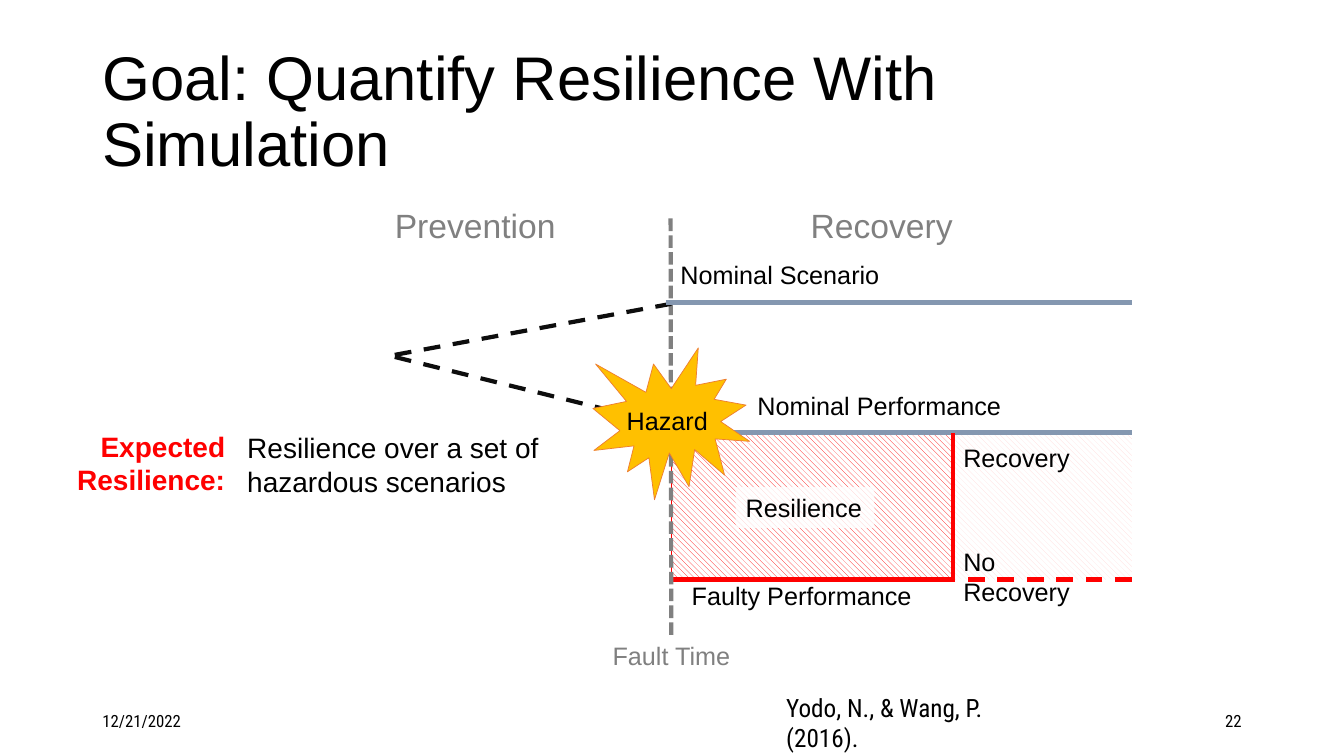
"""Build the slide on quantifying resilience with simulation."""
from pptx import Presentation
from pptx.dml.color import RGBColor
from pptx.enum.dml import MSO_LINE, MSO_PATTERN
from pptx.enum.shapes import MSO_CONNECTOR, MSO_SHAPE
from pptx.enum.text import MSO_ANCHOR, PP_ALIGN
from pptx.oxml.ns import qn
from pptx.util import Pt
from lxml.etree import SubElement

BLACK = RGBColor(0x00, 0x00, 0x00)
INK = RGBColor(0x0D, 0x0D, 0x0D)
GRAY = RGBColor(0x80, 0x80, 0x80)
WHITE = RGBColor(0xFF, 0xFF, 0xFF)
RED = RGBColor(0xFF, 0x00, 0x00)
PINK = RGBColor(0xFF, 0xD9, 0xD9)
SLATE = RGBColor(0x84, 0x97, 0xB0)
BLUE = RGBColor(0x44, 0x72, 0xC4)
AMBER = RGBColor(0xFF, 0xC0, 0x00)
ORANGE = RGBColor(0xED, 0x7D, 0x31)

SANS, CONDENSED = "Arial", "Roboto Condensed"
LEFT, RIGHT = PP_ALIGN.LEFT, PP_ALIGN.RIGHT

BRANCH_X, FAULT_X, RECOVERY_X, END_X = 282, 479.5, 681, 808.5
SCENARIO_Y, NOMINAL_Y, FAULTY_Y = 216, 309, 414

HATCHES = [
    (RECOVERY_X, END_X, PINK, None),
    (FAULT_X, RECOVERY_X, RED, BLUE),
]
LINES = [
    ((BRANCH_X, 255), (FAULT_X, 304), INK, 3, MSO_LINE.DASH),
    ((452, NOMINAL_Y), (END_X, NOMINAL_Y), SLATE, 3, None),
    ((FAULT_X, NOMINAL_Y), (FAULT_X, FAULTY_Y), RED, 1, None),
    ((FAULT_X, FAULTY_Y), (RECOVERY_X, FAULTY_Y), RED, 3, None),
    ((RECOVERY_X, FAULTY_Y), (RECOVERY_X, NOMINAL_Y), RED, 3, None),
    ((FAULT_X, 453.5), (479, 155), GRAY, 3, MSO_LINE.SQUARE_DOT),
    ((END_X, FAULTY_Y), (RECOVERY_X, FAULTY_Y), RED, 3, MSO_LINE.DASH),
    ((BRANCH_X, 253.5), (FAULT_X, 217), INK, 3, MSO_LINE.DASH),
    ((475.5, SCENARIO_Y), (END_X, SCENARIO_Y), SLATE, 3, None),
]
HAZARD_BURST = (423.5, 248.5, 112, 108.5)
LABELS = [
    ("Fault Time", (430.5, 453.5, 99.5, 29), 18, GRAY, SANS),
    ("Nominal Performance", (534, 275, 232, 29), 18, BLACK, SANS),
    ("Faulty Performance", (487, 411, 176, 29), 18, BLACK, SANS),
    ("Recovery", (681, 312.5, 94, 29), 18, BLACK, SANS),
    ("No Recovery", (681, 386.5, 117, 29), 18, BLACK, SANS),
    ("Prevention", (275, 142.5, 133, 36), 24, GRAY, SANS),
    ("Recovery", (572, 142.5, 116, 36), 24, GRAY, SANS),
    ("Yodo, N., & Wang, P. (2016).", (554.5, 491, 175, 29), 18, BLACK, CONDENSED),
    ("Hazard", (440.5, 286, 79, 29), 18, BLACK, SANS),
    ("Nominal Scenario", (479, 182, 232, 29), 18, BLACK, SANS),
]
PANELS = [
    (["Resilience"], (525.5, 348, 99, 29), 18, BLACK, LEFT, False),
    (["Expected", "Resilience:"], (45, 303, 123, 55.5), 20, RED, RIGHT, True),
    (["Resilience over a set of hazardous scenarios"],
     (169.5, 304, 241, 55.5), 20, BLACK, LEFT, False),
]
TITLE = ("Goal: Quantify Resilience With Simulation", (66, 29, 828, 104.5))
FOOTERS = [
    ("12/21/2022", (66, 500.5, 216, 29), LEFT),
    ("22", (678, 500.5, 216, 29), RIGHT),
]


def add_preset(slide, kind, frame, outline=None):
    shape = slide.shapes.add_shape(kind, *map(Pt, frame))
    shape.shadow.inherit = False
    if outline is None:
        shape.line.fill.background()
    else:
        shape.line.color.rgb = outline
        shape.line.width = Pt(0.5)
    return shape


def add_line(slide, start, end, color, width, dash):
    line = slide.shapes.add_connector(
        MSO_CONNECTOR.STRAIGHT, *map(Pt, (*start, *end)))
    line.line.color.rgb = color
    line.line.width = Pt(width)
    if dash is not None:
        line.line.dash_style = dash
    SubElement(line._element.spPr, qn("a:effectLst"))


def write(shape, texts, size, color, font=SANS, align=LEFT, bold=False,
          anchor=MSO_ANCHOR.TOP, spacing=None):
    frame = shape.text_frame
    frame.word_wrap = True
    frame.vertical_anchor = anchor
    for index, text in enumerate(texts):
        paragraph = frame.add_paragraph() if index else frame.paragraphs[0]
        paragraph.alignment = align
        if spacing is not None:
            paragraph.line_spacing = spacing
        run = paragraph.add_run()
        run.text = text
        run.font.name = font
        run.font.size = Pt(size)
        run.font.bold = bold
        run.font.color.rgb = color


def add_panel(slide, texts, frame, size, color, align, bold):
    panel = add_preset(slide, MSO_SHAPE.RECTANGLE, frame)
    panel.fill.solid()
    panel.fill.fore_color.rgb = WHITE
    white = panel._element.spPr.find(qn("a:solidFill")).find(qn("a:srgbClr"))
    SubElement(white, qn("a:alpha")).set("val", "80000")
    write(panel, texts, size, color, align=align, bold=bold)


def add_text(slide, text, frame, size, color, font, **options):
    box = slide.shapes.add_textbox(*map(Pt, frame))
    write(box, [text], size, color, font, **options)


def main():
    presentation = Presentation()
    presentation.slide_width, presentation.slide_height = Pt(960), Pt(540)
    slide = presentation.slides.add_slide(presentation.slide_layouts[6])

    title, title_frame = TITLE
    add_text(slide, title, title_frame, 44, BLACK, SANS,
             anchor=MSO_ANCHOR.MIDDLE, spacing=0.9)
    for left, right, color, outline in HATCHES:
        frame = (left, NOMINAL_Y, right - left, FAULTY_Y - NOMINAL_Y)
        area = add_preset(slide, MSO_SHAPE.RECTANGLE, frame, outline)
        area.fill.patterned()
        area.fill.pattern = MSO_PATTERN.WIDE_DOWNWARD_DIAGONAL
        area.fill.fore_color.rgb = color
        area.fill.back_color.rgb = WHITE
    for line in LINES:
        add_line(slide, *line)
    burst = add_preset(slide, MSO_SHAPE.EXPLOSION1, HAZARD_BURST, ORANGE)
    burst.fill.solid()
    burst.fill.fore_color.rgb = AMBER
    for panel in PANELS:
        add_panel(slide, *panel)
    for label in LABELS:
        add_text(slide, *label)
    for text, frame, align in FOOTERS:
        add_text(slide, text, frame, 12, BLACK, CONDENSED,
                 align=align, anchor=MSO_ANCHOR.MIDDLE)
    presentation.save("out.pptx")


if __name__ == "__main__":
    main()
